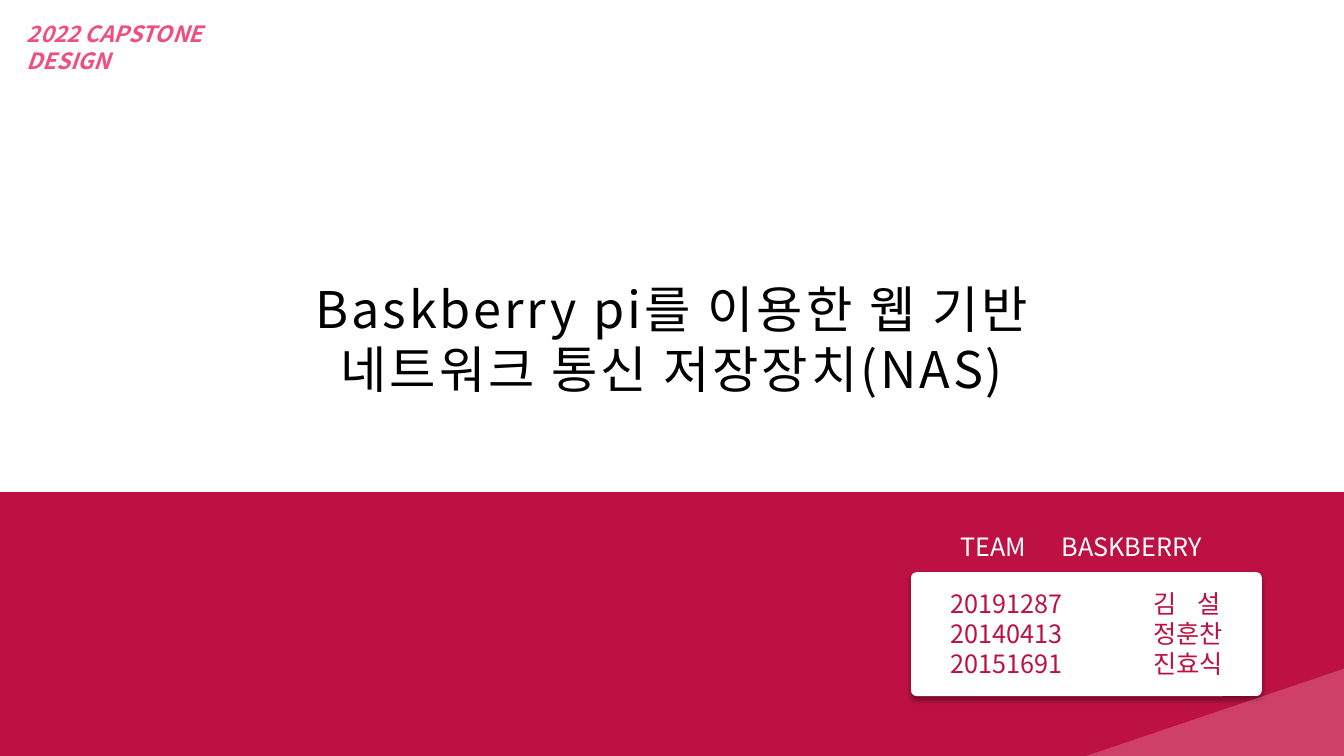
from dataclasses import dataclass

from lxml.etree import SubElement
from pptx import Presentation
from pptx.dml.color import RGBColor
from pptx.enum.shapes import MSO_SHAPE as Shape
from pptx.enum.text import MSO_AUTO_SIZE as AutoSize, PP_ALIGN as Align
from pptx.oxml.ns import qn
from pptx.slide import Slide
from pptx.util import Cm, Pt


@dataclass(frozen=True)
class Theme:
    """Colours, typeface and type sizes of the cover."""
    font: str = "Noto Sans CJK KR"
    crimson: str = "BC1142"
    pink: str = "EF4F7D"
    blush: str = "F69CB6"
    white: str = "FFFFFF"
    black: str = "000000"
    title: int = 36
    body: int = 18
    label: int = 16


def write_span(para, text, *, font, size, color, bold=False, italic=False, spacing=0):
    """Append formatted text to a paragraph."""
    span = para.add_run()
    span.text = text
    span.font.name, span.font.size = font, Pt(size)
    span.font.bold, span.font.italic = bold, italic
    span.font.color.rgb = RGBColor.from_string(color)
    props = span.font._element
    if spacing:
        props.set("spc", str(spacing * 100))
    SubElement(props, qn("a:ea")).set("typeface", font)


@dataclass
class Cover:
    """Draws elements on one page in one theme."""
    page: Slide
    theme: Theme

    def panel(self, at, fill, kind=Shape.RECTANGLE, line=None, parent=None):
        """Add a flat filled shape."""
        box = (parent or self.page).shapes.add_shape(kind, *map(Cm, at))
        box.shadow.inherit = False
        box.fill.solid()
        box.fill.fore_color.rgb = RGBColor.from_string(fill)
        if line:
            box.line.color.rgb = RGBColor.from_string(line)
            box.line.width = Pt(1)
        else:
            box.line.fill.background()
        return box

    def card(self, at, parent):
        """Add a white rounded card with a soft drop shadow."""
        box = self.panel(at, self.theme.white, Shape.ROUNDED_RECTANGLE, parent=parent)
        box.adjustments[0] = 0.044
        effects = box._element.spPr.find(qn("a:effectLst"))
        shadow = SubElement(effects, qn("a:outerShdw"), blurRad=str(Pt(4)),
                            dist=str(Pt(3)), dir="5400000", algn="t", rotWithShape="0")
        tint = SubElement(shadow, qn("a:srgbClr"), val=self.theme.black)
        SubElement(tint, qn("a:alpha"), val="37000")

    def wedge(self, at, angle):
        """Add a tilted translucent rectangle."""
        box = self.panel(at, self.theme.blush)
        box.rotation = angle
        tint = box._element.spPr.find(qn("a:solidFill"))[0]
        SubElement(tint, qn("a:alpha"), val="34000")

    def text(self, at, lines, align=Align.LEFT, tabs=(), inset=0.25, parent=None, **style):
        """Add a text box with one paragraph per line."""
        box = (parent or self.page).shapes.add_textbox(*map(Cm, at))
        frame = box.text_frame
        frame.word_wrap = True
        frame.auto_size = AutoSize.SHAPE_TO_FIT_TEXT
        frame.margin_left = Cm(inset)
        for index, line in enumerate(lines):
            para = frame.add_paragraph() if index else frame.paragraphs[0]
            para.alignment = align
            if tabs:
                stops = SubElement(para._p.get_or_add_pPr(), qn("a:tabLst"))
                for stop in tabs:
                    SubElement(stops, qn("a:tab"), pos=str(Cm(stop)), algn="l")
            write_span(para, line, font=self.theme.font, **style)


def main():
    """Build and save the cover slide."""
    deck = Presentation()
    deck.slide_width, deck.slide_height = Cm(33.87), Cm(19.05)
    theme = Theme()
    cover = Cover(deck.slides.add_slide(deck.slide_layouts[6]), theme)

    cover.panel((0, 12.41, 33.87, 6.83), theme.crimson, line=theme.crimson)
    cover.text((7.37, 6.88, 19.13, 3.33),
               ["Baskberry pi를 이용한 웹 기반", "네트워크 통신 저장장치(NAS)"],
               align=Align.CENTER, size=theme.title, color=theme.black, spacing=2)

    team = cover.page.shapes.add_group_shape()
    cover.card((22.96, 14.42, 8.84, 3.12), team)
    cover.text((23.57, 14.7, 7.62, 2.57),
               ["20191287\t김\t설", "20140413\t정훈찬", "20151691\t진효식"],
               tabs=(5.1, 6.23), inset=0.39, parent=team,
               size=theme.body, color=theme.crimson)
    cover.text((23.57, 13.26, 7.29, 1.02), ["TEAM\tBASKBERRY"], tabs=(2.56,),
               inset=0.63, size=theme.body, color=theme.white)

    cover.text((0.43, 0.38, 5.28, 1.63), ["2022 CAPSTONE DESIGN"],
               size=theme.label, color=theme.pink, bold=True, italic=True)
    cover.wedge((25.04, 18.11, 11, 4.78), 341.3)
    deck.save("out.pptx")


if __name__ == "__main__":
    main()
